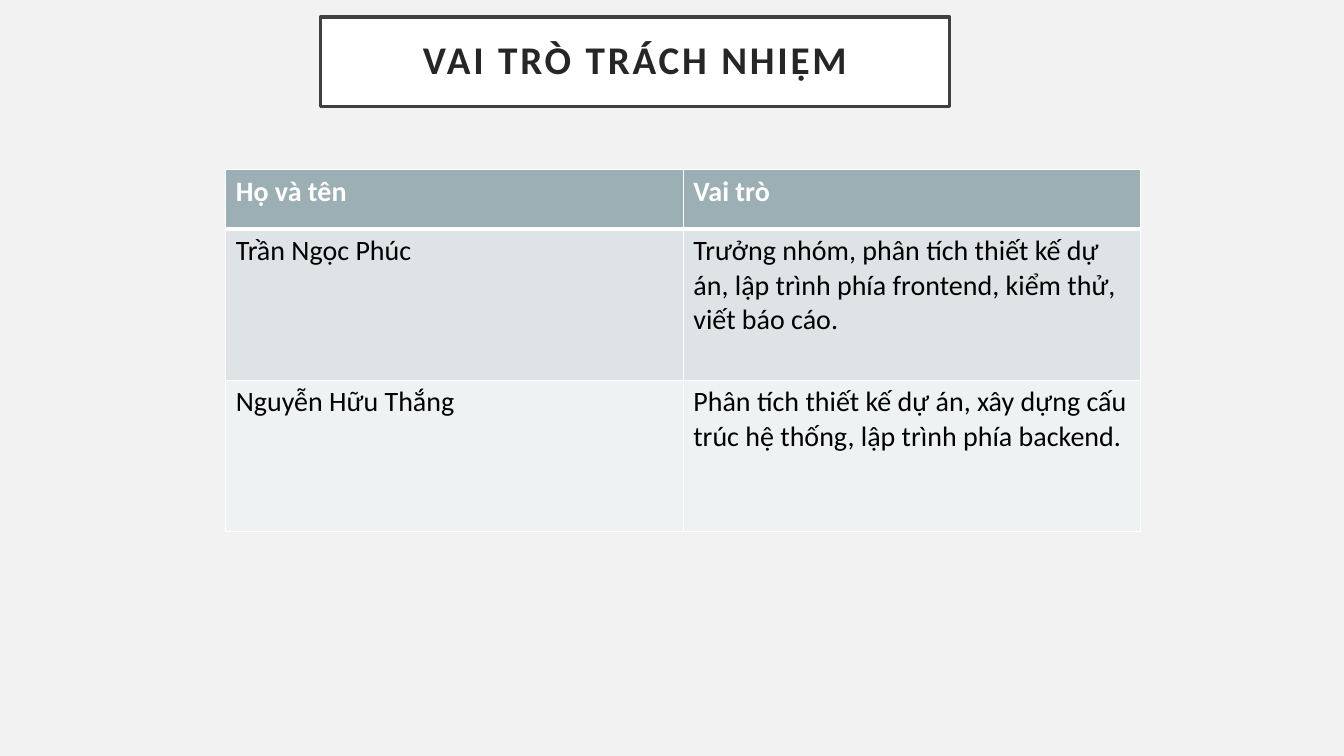
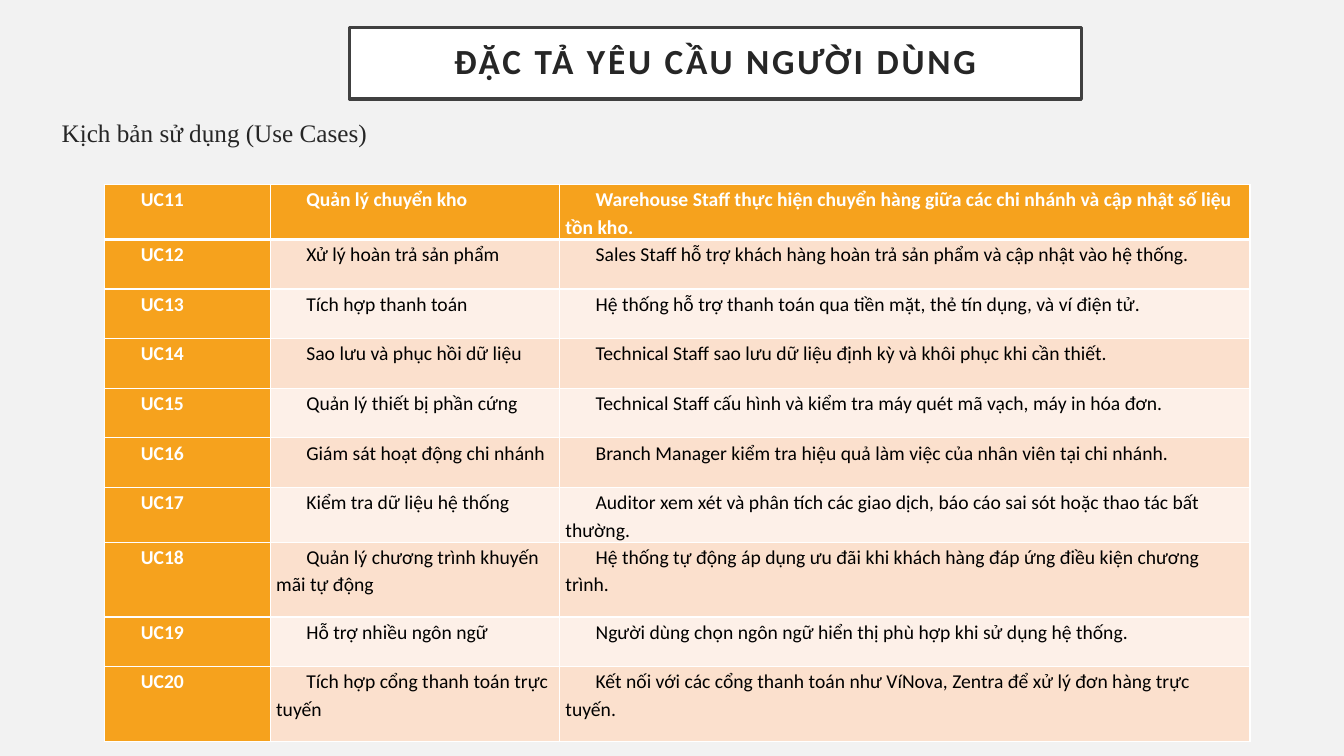
"""Build two slides on team roles and user needs."""
from dataclasses import dataclass

from lxml import etree
from pptx import Presentation
from pptx.dml.color import RGBColor
from pptx.enum.text import MSO_ANCHOR, MSO_AUTO_SIZE, PP_ALIGN
from pptx.oxml.ns import qn
from pptx.util import Cm, Pt

CENTER = PP_ALIGN.CENTER
LEFT = PP_ALIGN.LEFT
MIDDLE = MSO_ANCHOR.MIDDLE
TOP = MSO_ANCHOR.TOP
NO_FIT = MSO_AUTO_SIZE.NONE

WHITE, BLACK = "FFFFFF", "000000"
PAPER, FRAME, INK = "F2F2F2", "404040", "262626"
SANS, SERIF = "Calibri", "Times New Roman"
TITLE_TEXT, TITLE_ONLY = 1, 5
THIN, THICK = 1, 3


@dataclass
class Box:
    left: float
    top: float
    width: float
    height: float


@dataclass
class Theme:
    head: str
    bands: tuple[str, str]
    size: float
    side: bool = False
    dense: bool = False


@dataclass
class Grid:
    left: float
    top: float
    widths: list[float]
    heights: list[float]
    theme: Theme
    rows: list[tuple[str, ...]]


TEAM = Grid(
    5.69, 4.27, [11.53] * 2, [1.5, 3.81, 3.81],
    Theme("9BAFB5", ("DEE3E5", "EFF2F3"), 20),
    [
        ("Họ và tên", "Vai trò"),
        ("Trần Ngọc Phúc",
         "Trưởng nhóm, phân tích thiết kế dự án, lập trình phía frontend, kiểm thử, viết báo cáo."),
        ("Nguyễn Hữu Thắng",
         "Phân tích thiết kế dự án, xây dựng cấu trúc hệ thống, lập trình phía backend."),
    ],
)

CASES = Grid(
    2.64, 4.65, [4.17, 7.29, 17.4], [1.25] * 7 + [1.88, 1.25, 1.88],
    Theme("F6A21D", ("FBE0CD", "FDF0E8"), 14, side=True, dense=True),
    [
        ("UC11", "Quản lý chuyển kho",
         "Warehouse Staff thực hiện chuyển hàng giữa các chi nhánh và cập nhật số liệu tồn kho."),
        ("UC12", "Xử lý hoàn trả sản phẩm",
         "Sales Staff hỗ trợ khách hàng hoàn trả sản phẩm và cập nhật vào hệ thống."),
        ("UC13", "Tích hợp thanh toán",
         "Hệ thống hỗ trợ thanh toán qua tiền mặt, thẻ tín dụng, và ví điện tử."),
        ("UC14", "Sao lưu và phục hồi dữ liệu",
         "Technical Staff sao lưu dữ liệu định kỳ và khôi phục khi cần thiết."),
        ("UC15", "Quản lý thiết bị phần cứng",
         "Technical Staff cấu hình và kiểm tra máy quét mã vạch, máy in hóa đơn."),
        ("UC16", "Giám sát hoạt động chi nhánh",
         "Branch Manager kiểm tra hiệu quả làm việc của nhân viên tại chi nhánh."),
        ("UC17", "Kiểm tra dữ liệu hệ thống",
         "Auditor xem xét và phân tích các giao dịch, báo cáo sai sót hoặc thao tác bất thường."),
        ("UC18", "Quản lý chương trình khuyến mãi tự động",
         "Hệ thống tự động áp dụng ưu đãi khi khách hàng đáp ứng điều kiện chương trình."),
        ("UC19", "Hỗ trợ nhiều ngôn ngữ",
         "Người dùng chọn ngôn ngữ hiển thị phù hợp khi sử dụng hệ thống."),
        ("UC20", "Tích hợp cổng thanh toán trực tuyến",
         "Kết nối với các cổng thanh toán như VíNova, Zentra để xử lý đơn hàng trực tuyến."),
    ],
)


def paint(fill, shade: str) -> None:
    fill.solid()
    fill.fore_color.rgb = RGBColor.from_string(shade)


def style(par, size: float, shade: str, bold: bool = False, face: str = SANS) -> None:
    for run in par.runs:
        run.font.name = face
        run.font.size = Pt(size)
        run.font.bold = bold
        paint(run.font.fill, shade)


def place(shape, box: Box) -> None:
    shape.left, shape.top = Cm(box.left), Cm(box.top)
    shape.width, shape.height = Cm(box.width), Cm(box.height)


def inset(item, side: float, ends: float) -> None:
    item.margin_left = item.margin_right = Cm(side)
    item.margin_top = item.margin_bottom = Cm(ends)


def add_title(slide, text: str, box: Box, size: float) -> None:
    title = slide.shapes.title
    place(title, box)
    paint(title.fill, WHITE)
    paint(title.line.fill, FRAME)
    title.line.width = Pt(2.5)
    frame = title.text_frame
    frame.text = text
    frame.word_wrap = True
    frame.auto_size = NO_FIT
    frame.vertical_anchor = MIDDLE
    inset(frame, 0.5, 0.5)
    par = frame.paragraphs[0]
    par.alignment = CENTER
    par.line_spacing = 0.9
    style(par, size, INK, True)
    for run in par.runs:
        run.font._element.set("spc", "200")


def add_body(slide, text: str, box: Box) -> None:
    body = slide.placeholders[1]
    place(body, box)
    frame = body.text_frame
    frame.text = text
    frame.auto_size = NO_FIT
    frame.vertical_anchor = TOP
    par = frame.paragraphs[0]
    par.alignment = LEFT
    par.space_before = Pt(10)
    props = par._p.get_or_add_pPr()
    props.set("marL", "0")
    props.set("indent", "0")
    etree.SubElement(props, qn("a:buNone"))
    style(par, 18, INK, face=SERIF)


def add_edges(cell, row: int) -> None:
    props = cell._tc.get_or_add_tcPr()
    widths = {"L": THIN, "R": THIN,
              "T": THICK if row == 1 else THIN,
              "B": THICK if row == 0 else THIN}
    for side, width in widths.items():
        line = etree.SubElement(props, qn(f"a:ln{side}"), w=str(Pt(width)))
        fill = etree.SubElement(line, qn("a:solidFill"))
        etree.SubElement(fill, qn("a:srgbClr"), val=WHITE)


def fill_cell(cell, text: str, row: int, col: int, theme: Theme) -> None:
    head = row == 0 or (theme.side and col == 0)
    add_edges(cell, row)
    paint(cell.fill, theme.head if head else theme.bands[(row - 1) % 2])
    cell.text_frame.text = text
    par = cell.text_frame.paragraphs[0]
    style(par, theme.size, WHITE if head else BLACK, head)
    if theme.dense:
        inset(cell, 0.15, 0)
        par.line_spacing = 1.15
        par.space_before = par.space_after = Pt(6)
        par._p.get_or_add_pPr().set("indent", str(Cm(0.76)))


def add_grid(slide, grid: Grid) -> None:
    table = slide.shapes.add_table(
        len(grid.rows), len(grid.widths), Cm(grid.left), Cm(grid.top),
        Cm(sum(grid.widths)), Cm(sum(grid.heights))).table
    for col, width in zip(table.columns, grid.widths):
        col.width = Cm(width)
    for line, height in zip(table.rows, grid.heights):
        line.height = Cm(height)
    for row, texts in enumerate(grid.rows):
        for col, text in enumerate(texts):
            fill_cell(table.cell(row, col), text, row, col, grid.theme)


def main() -> None:
    deck = Presentation()
    deck.slide_width, deck.slide_height = Cm(33.87), Cm(19.05)
    paint(deck.slide_master.background.fill, PAPER)

    team = deck.slides.add_slide(deck.slide_layouts[TITLE_ONLY])
    add_title(team, "VAI TRÒ TRÁCH NHIỆM", Box(8.08, 0.43, 15.85, 2.26), 28)
    add_grid(team, TEAM)

    cases = deck.slides.add_slide(deck.slide_layouts[TITLE_TEXT])
    add_title(cases, "ĐẶC TẢ YÊU CẦU NGƯỜI DÙNG", Box(8.81, 0.69, 18.44, 1.8), 25.2)
    add_body(cases, "Kịch bản sử dụng (Use Cases)", Box(1.3, 2.84, 13.89, 1.8))
    add_grid(cases, CASES)

    deck.save("out.pptx")


if __name__ == "__main__":
    main()
